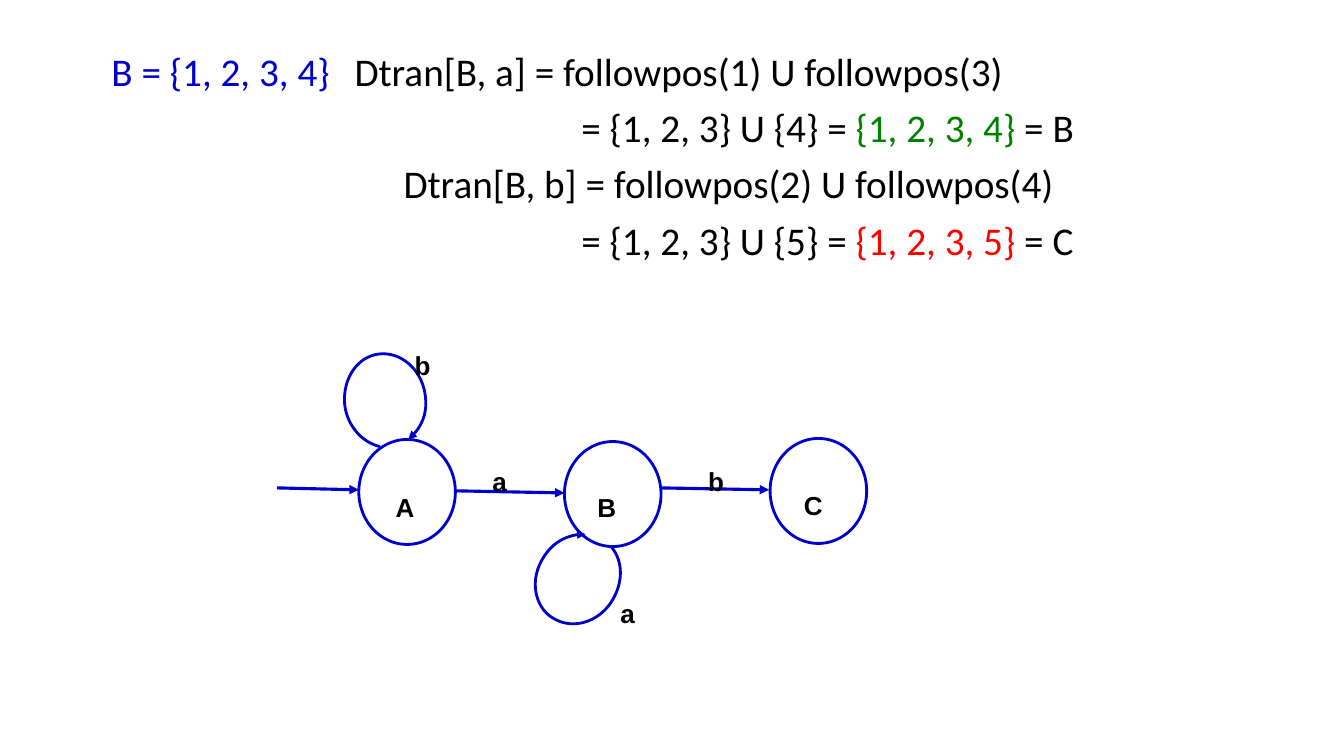
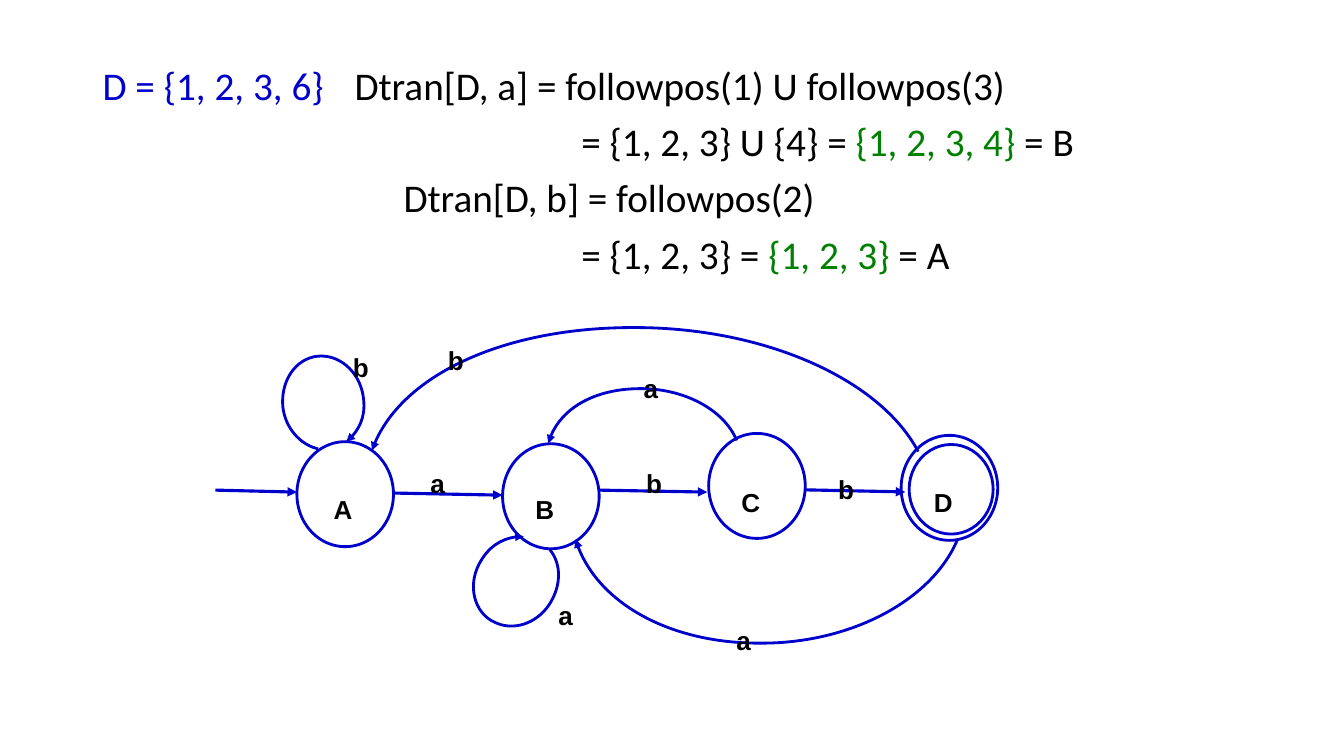
from lxml import etree
from pptx import Presentation
from pptx.dml.color import RGBColor
from pptx.enum.shapes import MSO_CONNECTOR, MSO_SHAPE
from pptx.oxml.ns import qn
from pptx.util import Pt

STRAIGHT = MSO_CONNECTOR.STRAIGHT
OVAL = MSO_SHAPE.OVAL

COLORS = {"ink": "000000", "blue": "0000CC", "green": "008000", "red": "FF0000"}
STATE_SIZE = (69, 75)
DTRAN_INDENT = 215
EQUALS_INDENT = 342

A_LOOP = [(271.4, 319), (258.5, 316.1), (247.7, 303.8), (246.2, 288.7),
          (244.8, 272.2), (253.4, 257), (267.8, 253.4),
          (283, 249.8), (298.8, 260.6), (303.1, 278.6),
          (306, 292.3), (301.7, 306), (291.6, 313.9)]
B_LOOP = [(437, 391), (445.7, 401.8), (445, 417.6), (436.3, 430.6),
          (427, 444.2), (410.4, 449.3), (397.4, 442.8),
          (383, 436.3), (378, 416.9), (386.6, 401),
          (393.1, 388.8), (406.1, 380.9), (418.3, 381.6)]
C_TO_B = [(526.3, 314.6), (517, 292.3), (488.2, 277.2), (456.5, 277.6),
          (424.8, 277.9), (397.4, 293.8), (391.7, 316.8)]
D_TO_A = [(655.9, 322.6), (628.6, 270.7), (545.8, 234), (453.6, 234),
          (361.4, 233.6), (283.7, 269.3), (265.7, 321.8)]
D_TO_B = [(684, 385.2), (666, 428.4), (608.4, 459.4), (544.3, 459.4),
          (479.5, 460), (424.1, 429.1), (411.1, 385.2)]


class AutomatonDeck:
    def __init__(self):
        self.prs = Presentation()
        self.prs.slide_width, self.prs.slide_height = Pt(960), Pt(540)
        self.slide = None

    def new_slide(self):
        self.slide = self.prs.slides.add_slide(self.prs.slide_layouts[6])

    def style_font(self, font, name, size, color, bold=False):
        font.name, font.size, font.bold = name, Pt(size), bold
        font.color.rgb = RGBColor.from_string(COLORS[color])

    def style_line(self, shape, width, arrow=False):
        shape.line.color.rgb = RGBColor.from_string(COLORS["blue"])
        shape.line.width = Pt(width)
        if arrow:
            etree.SubElement(shape.line._get_or_add_ln(), qn("a:tailEnd"), type="triangle")

    def text_frame(self, left, top, width, height):
        frame = self.slide.shapes.add_textbox(Pt(left), Pt(top), Pt(width), Pt(height)).text_frame
        frame.word_wrap = True
        return frame

    def derivation(self, top, lines, first_indent=0, tab=DTRAN_INDENT):
        frame = self.text_frame(66.2, top, 828, 172)
        layouts = [(0, first_indent), (EQUALS_INDENT, 0), (DTRAN_INDENT, 0), (EQUALS_INDENT, 0)]
        for number, (line, (margin, indent)) in enumerate(zip(lines, layouts)):
            paragraph = frame.add_paragraph() if number else frame.paragraphs[0]
            properties = paragraph._p.get_or_add_pPr()
            properties.set("marL", str(Pt(margin)))
            properties.set("indent", str(Pt(indent)))
            paragraph.line_spacing = 0.9
            if number:
                paragraph.space_before = Pt(10)
            else:
                stops = etree.SubElement(properties, qn("a:tabLst"))
                etree.SubElement(stops, qn("a:tab"), pos=str(Pt(tab)), algn="l")
            for words, color in line:
                run = paragraph.add_run()
                run.text = words
                self.style_font(run.font, "Calibri", 28, color)

    def letter(self, symbol, left, top):
        frame = self.text_frame(left, top, 24, 39)
        frame.margin_left = frame.margin_right = frame.margin_top = frame.margin_bottom = 0
        frame.text = symbol
        font = frame.paragraphs[0].runs[0].font
        self.style_font(font, "Arial", 32, "ink", bold=True)
        font._element.set("baseline", "-25000")

    def circle(self, left, top, size=STATE_SIZE):
        ring = self.slide.shapes.add_shape(OVAL, Pt(left), Pt(top), Pt(size[0]), Pt(size[1]))
        ring.shadow.inherit = False
        ring.fill.background()
        self.style_line(ring, 2)

    def arrow(self, x1, y1, x2, y2):
        transition = self.slide.shapes.add_connector(STRAIGHT, Pt(x1), Pt(y1), Pt(x2), Pt(y2))
        self.style_line(transition, 2.25, arrow=True)
        etree.SubElement(transition._element.spPr, qn("a:effectLst"))

    def curve(self, points, dx=0, dy=0):
        start, *controls = [(Pt(x + dx), Pt(y + dy)) for x, y in points]
        builder = self.slide.shapes.build_freeform(*start)
        builder.add_line_segments(controls, close=False)
        transition = builder.convert_to_shape()
        transition.shadow.inherit = False
        transition.fill.background()
        self.style_line(transition, 2, arrow=True)
        outline = next(transition._element.iter(qn("a:path")))
        steps = outline.findall(qn("a:lnTo"))
        for first in range(0, len(steps), 3):
            bezier = etree.SubElement(outline, qn("a:cubicBezTo"))
            for step in steps[first:first + 3]:
                bezier.append(step[0])
                outline.remove(step)

    def states_a_b(self, dx=0, dy=0):
        for left, top in [(256.3, 313.9), (403.2, 315.4)]:
            self.circle(left + dx, top + dy)
        for x1, y1, x2, y2 in [(198, 348.5, 256.3, 349.9), (325.4, 350.6, 403.2, 352.1),
                               (471.6, 348.5, 549.4, 349.9)]:
            self.arrow(x1 + dx, y1 + dy, x2 + dx, y2 + dy)
        for loop in (A_LOOP, B_LOOP):
            self.curve(loop, dx, dy)
        for symbol, left, top in [("A", 282.6, 329.8), ("B", 426.6, 329.8), ("a", 351.7, 311),
                                  ("b", 296.2, 228.2), ("b", 505.8, 311), ("a", 443.1, 405.4)]:
            self.letter(symbol, left + dx, top + dy)


def main():
    deck = AutomatonDeck()
    to_b = [("= {1, 2, 3} U {4} = ", "ink"), ("{1, 2, 3, 4}", "green"), (" = B", "ink")]

    deck.new_slide()
    deck.derivation(33.8, [
        [("B = {1, 2, 3, 4}\t", "blue"), ("Dtran[B, a] = followpos(1) U followpos(3)", "ink")],
        to_b,
        [("Dtran[B, b] = followpos(2) U followpos(4)", "ink")],
        [("= {1, 2, 3} U {5} = ", "ink"), ("{1, 2, 3, 5} ", "red"), ("= C", "ink")],
    ], first_indent=6.3, tab=212.5)
    deck.states_a_b()
    deck.circle(550.1, 313.2)
    deck.letter("C", 574.2, 328.3)

    deck.new_slide()
    deck.derivation(43.9, [
        [("D = {1, 2, 3, 6}\t", "blue"), ("Dtran[D, a] = followpos(1) U followpos(3)", "ink")],
        to_b,
        [("Dtran[D, b] = followpos(2)", "ink")],
        [("= {1, 2, 3} = ", "ink"), ("{1, 2, 3} ", "green"), ("= A", "ink")],
    ])
    deck.states_a_b(dx=-44.2, dy=1.6)
    deck.circle(506.2, 309.6)
    deck.circle(643.7, 311)
    deck.circle(649.4, 317.5, (60, 64))
    deck.arrow(574.6, 349.9, 646.6, 351.4)
    for back_edge in (C_TO_B, D_TO_A, D_TO_B):
        deck.curve(back_edge)
    for symbol, left, top in [("C", 529.5, 326.2), ("D", 667, 326.2), ("a", 459.7, 244.8),
                              ("b", 598.6, 316.8), ("b", 320, 224.6), ("a", 525.9, 424.8)]:
        deck.letter(symbol, left, top)

    deck.prs.save("out.pptx")


if __name__ == "__main__":
    main()
